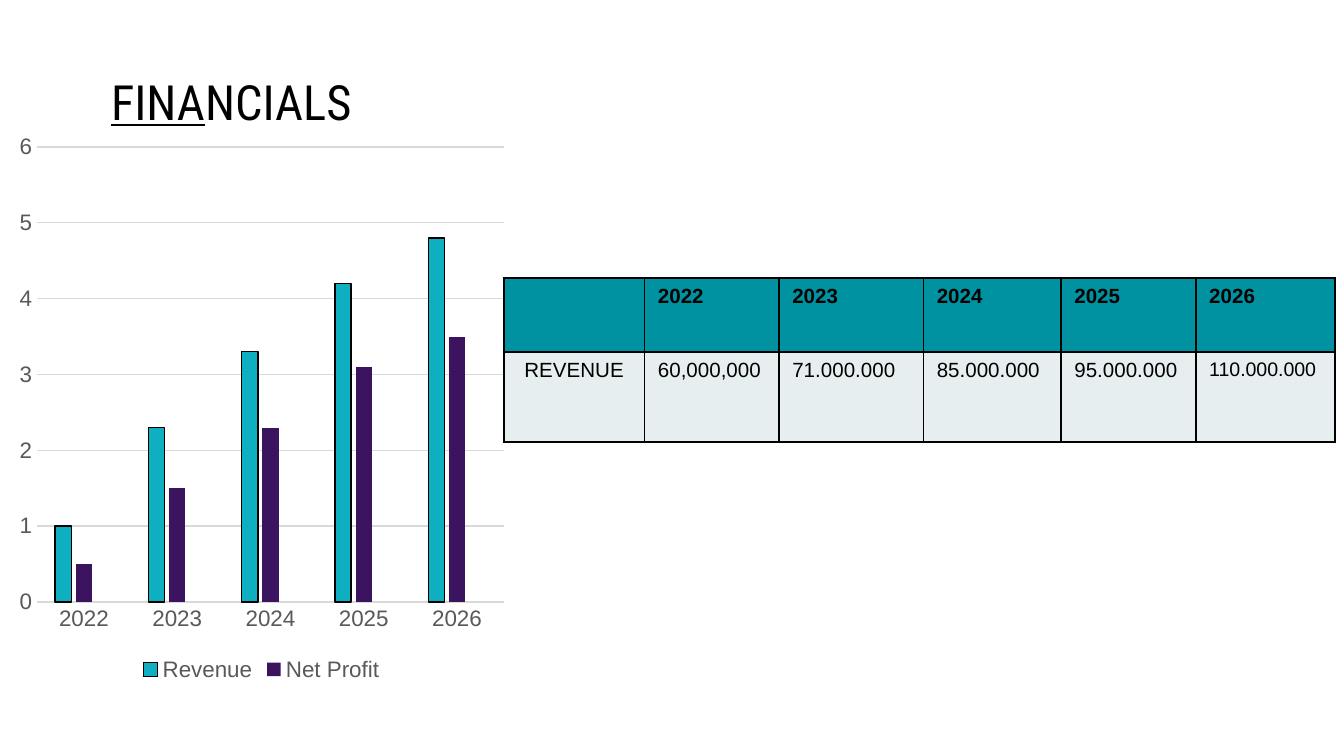
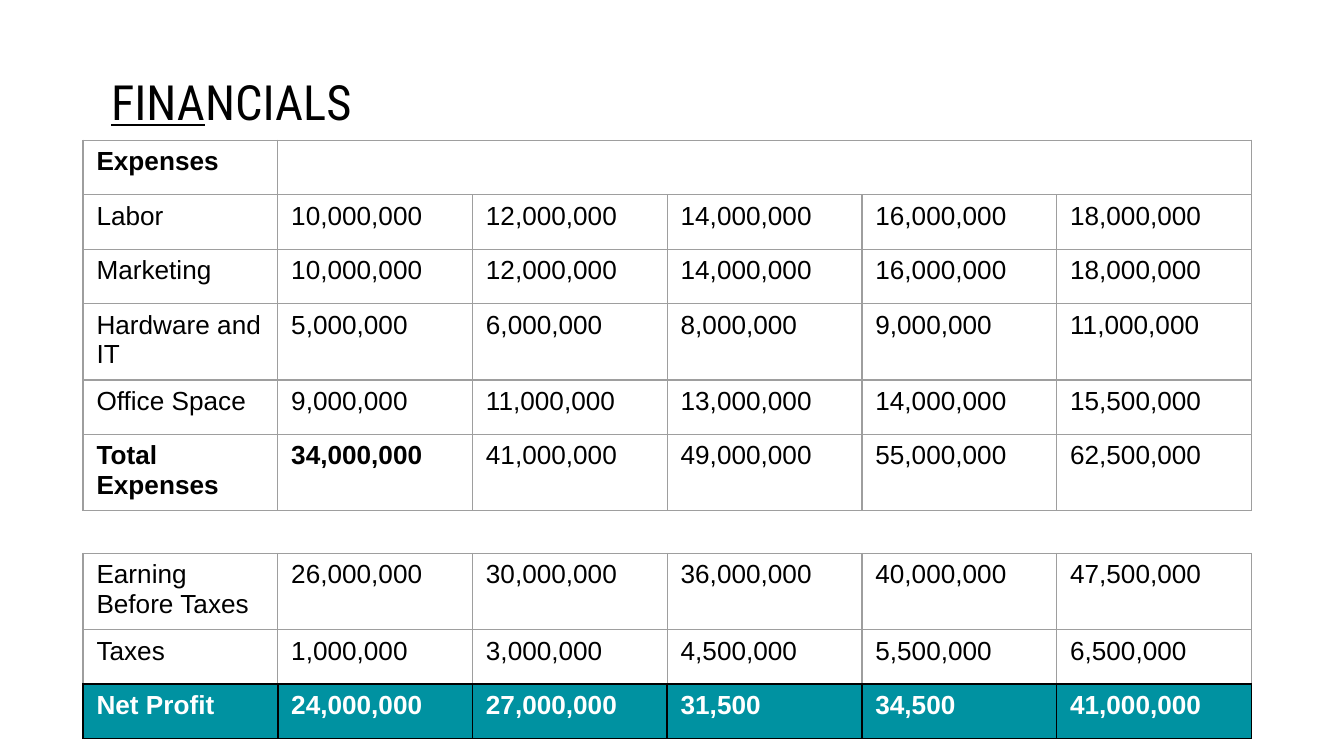
from dataclasses import dataclass

from lxml.etree import SubElement
from pptx import Presentation
from pptx.chart.data import CategoryChartData
from pptx.dml.color import RGBColor
from pptx.enum.chart import XL_CHART_TYPE as ChartType
from pptx.enum.chart import XL_LEGEND_POSITION as LegendPosition
from pptx.enum.chart import XL_TICK_MARK as TickMark
from pptx.enum.text import PP_ALIGN as Align
from pptx.oxml.ns import qn
from pptx.util import Cm, Pt

BLACK = RGBColor(0x00, 0x00, 0x00)
WHITE = RGBColor(0xFF, 0xFF, 0xFF)
TEAL = RGBColor(0x00, 0x92, 0xA1)
PALE = RGBColor(0xE7, 0xEE, 0xF0)
RULE_GRAY = RGBColor(0x9E, 0x9E, 0x9E)
GRID_GRAY = RGBColor(0xD9, 0xD9, 0xD9)
LABEL_GRAY = RGBColor(0x59, 0x59, 0x59)
REVENUE_BLUE = RGBColor(0x0D, 0xAF, 0xC0)
PROFIT_PURPLE = RGBColor(0x3B, 0x13, 0x5E)
SPARE_GREEN = RGBColor(0x86, 0xFF, 0x3F)

YEARS = ["2022", "2023", "2024", "2025", "2026"]
COLUMN_WIDTH, ROW_HEIGHT = 3.68, 1.03


@dataclass
class RowStyle:
    """Look of one table row; bold_cells counts the bold cells from the left."""
    bold_cells: int = 0
    fill: RGBColor = None
    ink: RGBColor = BLACK
    rule: RGBColor = RULE_GRAY
    rule_width: float = 0.75


PLAIN = RowStyle()
HEADING = RowStyle(bold_cells=1)
TOTAL = RowStyle(bold_cells=2)
YEAR_BAND = RowStyle(6, TEAL, BLACK, BLACK, 1)
REVENUE_BAND = RowStyle(0, PALE, BLACK, BLACK, 1)
PROFIT_BAND = RowStyle(6, TEAL, WHITE, BLACK, 1)


class Deck:
    body_font = "Arial"
    title_font = "Roboto Condensed"

    def __init__(self):
        self.presentation = Presentation()
        self.presentation.slide_width = Cm(25.4)
        self.presentation.slide_height = Cm(14.29)
        self.slide = None

    def add_slide(self):
        self.slide = self.presentation.slides.add_slide(self.presentation.slide_layouts[6])

    def style_font(self, font, size, color, bold=False, name=body_font):
        font.name, font.size, font.bold = name, Pt(size), bold
        font.color.rgb = color

    def title(self, underlined, rest):
        """Underline the lead-in tab and the first letters only."""
        heading = self.slide.shapes.add_textbox(Cm(1.27), Cm(1.14), Cm(22.86), Cm(1.12))
        frame = heading.text_frame
        frame.word_wrap = True
        frame.margin_top, frame.margin_bottom = Cm(0.22), 0
        paragraph = frame.paragraphs[0]
        tabs = SubElement(paragraph._p.get_or_add_pPr(), qn("a:tabLst"))
        SubElement(tabs, qn("a:tab"), pos=str(Cm(0.58)), algn="l")
        for words, underline in (("\t" + underlined, True), (rest, False)):
            run = paragraph.add_run()
            run.text = words
            self.style_font(run.font, 26, BLACK, name=self.title_font)
            run.font.underline = underline

    def column_chart(self, left, top, width, height, categories, series):
        """Draw series given as (name, values, fill, outline); empty ones leave the legend."""
        data = CategoryChartData()
        data.categories = categories
        for name, values, _, _ in series:
            data.add_series(name, values)
        chart = self.slide.shapes.add_chart(
            ChartType.COLUMN_CLUSTERED, Cm(left), Cm(top), Cm(width), Cm(height), data).chart
        chart.has_title = False
        self.style_font(chart.font, 10, BLACK)
        plot = chart.plots[0]
        plot.vary_by_categories = False
        plot.gap_width, plot.overlap = 219, -27

        chart.has_legend = True
        legend = chart.legend
        legend.position = LegendPosition.BOTTOM
        legend.include_in_layout = False
        self.style_font(legend.font, 12, LABEL_GRAY)
        for index, (columns, (_, values, fill, outline)) in enumerate(zip(plot.series, series)):
            columns.invert_if_negative = False
            columns.format.fill.solid()
            columns.format.fill.fore_color.rgb = fill
            if outline:
                columns.format.line.color.rgb = outline
                columns.format.line.width = Pt(0.75)
            if not any(values):
                entry = SubElement(legend._element, qn("c:legendEntry"))
                SubElement(entry, qn("c:idx"), val=str(index))
                SubElement(entry, qn("c:delete"), val="1")
                legend._element.find(qn("c:legendPos")).addnext(entry)

        years, amounts = chart.category_axis, chart.value_axis
        for axis in (years, amounts):
            axis.major_tick_mark = axis.minor_tick_mark = TickMark.NONE
            self.style_font(axis.tick_labels.font, 12, LABEL_GRAY)
        amounts.minimum_scale, amounts.maximum_scale, amounts.major_unit = 0, 6, 1
        amounts.format.line.fill.background()
        for line in (years.format.line, amounts.major_gridlines.format.line):
            line.color.rgb = GRID_GRAY
            line.width = Pt(0.75)

    def table(self, left, top, widths, heights, size, rows):
        """Build a table from (style, texts) rows; each row's rule also draws the edge above it."""
        table = self.slide.shapes.add_table(
            len(rows), len(widths), Cm(left), Cm(top), Cm(sum(widths)), Cm(sum(heights))).table
        table.first_row = table.horz_banding = False
        for column, width in zip(table.columns, widths):
            column.width = Cm(width)
        for row, height in zip(table.rows, heights):
            row.height = Cm(height)
        styles = [style for style, _ in rows]
        for index, (style, texts) in enumerate(rows):
            below = (styles + [style])[index + 1]
            for column, words in enumerate(texts):
                cell = table.cell(index, column)
                self.border(cell, style, below)
                if style.fill is None:
                    cell.fill.background()
                else:
                    cell.fill.solid()
                    cell.fill.fore_color.rgb = style.fill
                cell.text_frame.text = words
                for run in cell.text_frame.paragraphs[0].runs:
                    self.style_font(run.font, size, style.ink, column < style.bold_cells)
        return table

    def border(self, cell, style, below):
        properties = cell._tc.get_or_add_tcPr()
        for side, look in (("L", style), ("R", style), ("T", style), ("B", below)):
            line = SubElement(properties, qn(f"a:ln{side}"), w=str(Pt(look.rule_width)))
            fill = SubElement(line, qn("a:solidFill"))
            SubElement(fill, qn("a:srgbClr"), val=str(look.rule))

    def ledger(self, top, rows):
        """Place a six-column table on the grid that both expense tables share."""
        return self.table(1.57, top, [COLUMN_WIDTH] * 6, [ROW_HEIGHT] * len(rows), 14, rows)

    def save(self):
        self.presentation.save("out.pptx")


def revenue_slide(deck):
    deck.add_slide()
    deck.column_chart(0.18, 2.34, 9.53, 10.64, YEARS, [
        ("Revenue", [1, 2.3, 3.3, 4.2, 4.8], REVENUE_BLUE, BLACK),
        ("Net Profit", [0.5, 1.5, 2.3, 3.1, 3.5], PROFIT_PURPLE, None),
        ("Series 3", [None] * len(YEARS), SPARE_GREEN, None),
    ])
    revenue = deck.table(9.52, 5.26, [2.66, 2.54, 2.73, 2.6, 2.55, 2.63], [1.4, 1.7], 11, [
        (YEAR_BAND, ["", *YEARS]),
        (REVENUE_BAND, ["REVENUE", "60,000,000", "71.000.000", "85.000.000",
                        "95.000.000", "110.000.000"]),
    ])
    revenue.cell(1, 0).text_frame.paragraphs[0].alignment = Align.CENTER
    revenue.cell(1, 5).text_frame.paragraphs[0].runs[0].font.size = Pt(10.5)
    deck.title("FINA", "NCIALS")


def expenses_slide(deck):
    deck.add_slide()
    deck.title("FINA", "NCIALS")
    growth = ["10,000,000", "12,000,000", "14,000,000", "16,000,000", "18,000,000"]
    expenses = deck.ledger(2.65, [
        (HEADING, ["Expenses"] + [""] * 5),
        (PLAIN, ["Labor", *growth]),
        (PLAIN, ["Marketing", *growth]),
        (PLAIN, ["Hardware and IT", "5,000,000", "6,000,000", "8,000,000",
                 "9,000,000", "11,000,000"]),
        (PLAIN, ["Office Space", "9,000,000", "11,000,000", "13,000,000",
                 "14,000,000", "15,500,000"]),
        (TOTAL, ["Total Expenses", "34,000,000", "41,000,000", "49,000,000",
                 "55,000,000", "62,500,000"]),
    ])
    expenses.cell(0, 1).merge(expenses.cell(0, 5))
    deck.ledger(10.46, [
        (PLAIN, ["Earning Before Taxes", "26,000,000", "30,000,000", "36,000,000",
                 "40,000,000", "47,500,000"]),
        (PLAIN, ["Taxes", "1,000,000", "3,000,000", "4,500,000", "5,500,000", "6,500,000"]),
        (PROFIT_BAND, ["Net Profit", "24,000,000", "27,000,000", "31,500", "34,500",
                       "41,000,000"]),
    ])


def main():
    deck = Deck()
    revenue_slide(deck)
    expenses_slide(deck)
    deck.save()


if __name__ == "__main__":
    main()
